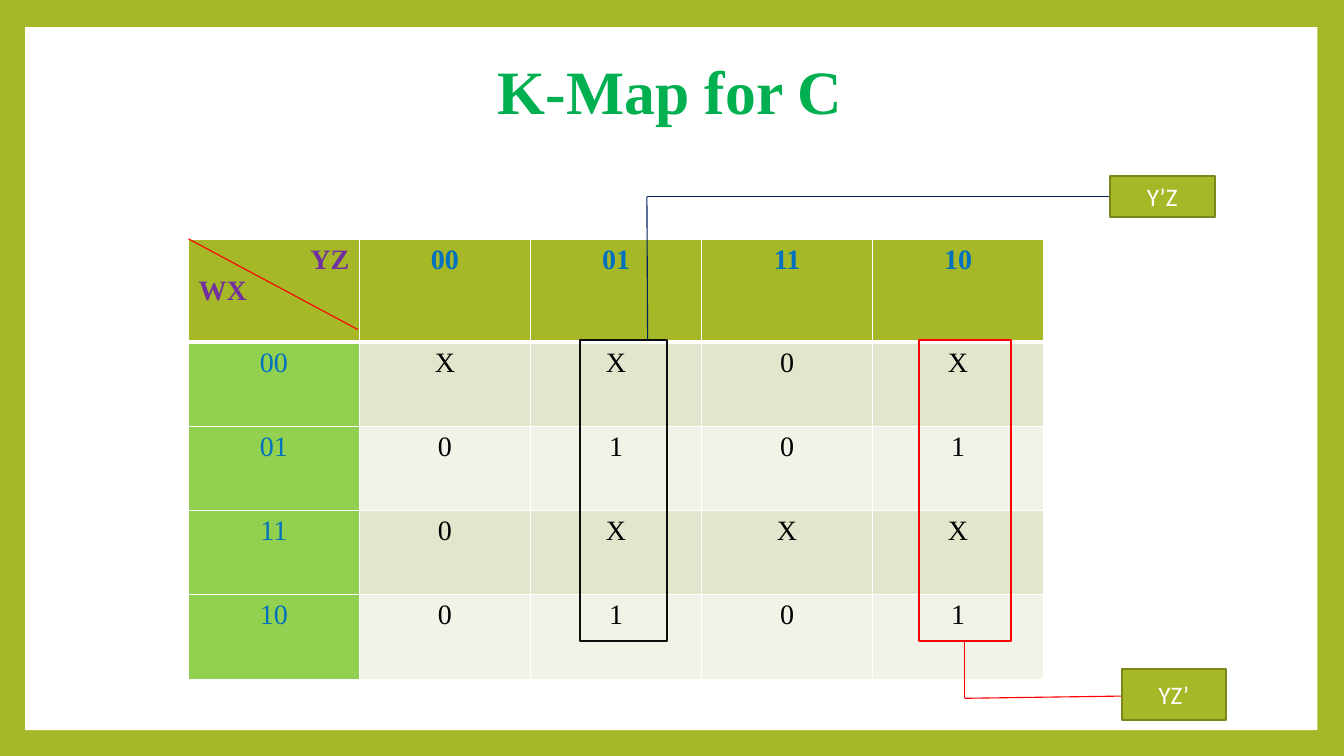
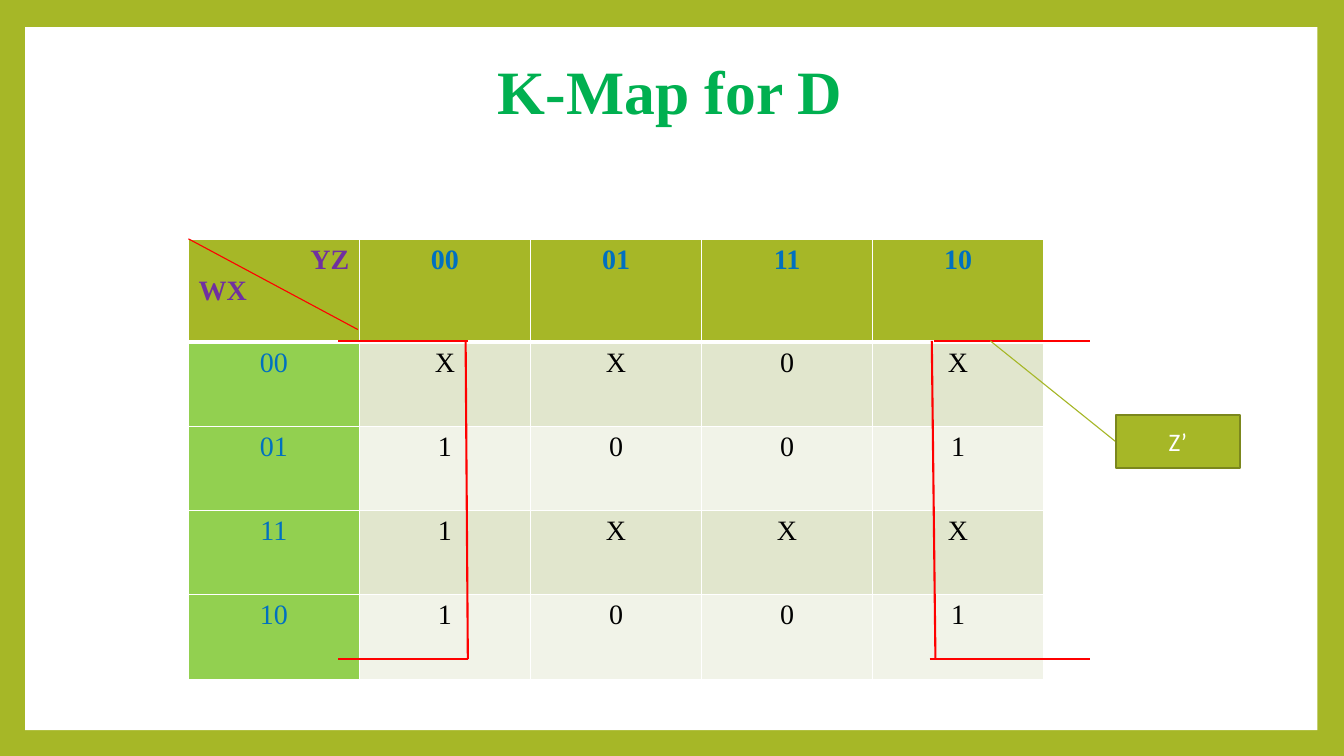
"""Build two Karnaugh map slides with marked groups and their labels."""
from dataclasses import dataclass

from lxml.etree import SubElement
from pptx import Presentation
from pptx.dml.color import RGBColor
from pptx.enum.shapes import MSO_CONNECTOR, MSO_SHAPE
from pptx.enum.text import MSO_ANCHOR, PP_ALIGN
from pptx.oxml import parse_xml
from pptx.oxml.ns import nsdecls, qn
from pptx.util import Pt

GRAY_CODE = ["00", "01", "11", "10"]
SLIDES = [
    {
        "title": "K-Map for C",
        "title_outline": "002060",
        "values": ["XX0X", "0101", "0XXX", "0101"],
        "groups": [
            ((656.6, 242.6, 65.5, 215.3), "red"),
            ((414, 242.6, 62.6, 215.3), "black"),
        ],
        "lines": [
            ((462.1, 140.4), (462.6, 242.6), "navy", "thin"),
            ((462.1, 140.4), (792.7, 140.4), "navy", "thin"),
            ((689, 457.9), (689, 498.8), "red", "thin"),
            ((689, 498.8), (801.4, 497.2), "red", "thin"),
        ],
        "labels": [
            ("Y’Z", (792.7, 125.6, 75, 29.3)),
            ("YZ’", (801.4, 478, 74.2, 36.5)),
        ],
    },
    {
        "title": "K-Map for D",
        "title_outline": None,
        "values": ["XX0X", "1001", "1XXX", "1001"],
        "groups": [],
        "lines": [
            ((332.6, 243.5), (334.2, 470.8), "red", "thick"),
            ((241.6, 470.8), (334.2, 470.8), "red", "thick"),
            ((241.6, 243.5), (334.2, 243.5), "red", "thick"),
            ((665.6, 243.5), (668.2, 470.8), "red", "thick"),
            ((664, 470.8), (778.8, 470.8), "red", "thick"),
            ((666.8, 243.5), (778.8, 243.5), "red", "thick"),
            ((707.4, 243.5), (797, 315.5), "olive", "thin"),
        ],
        "labels": [("Z’", (797, 296.4, 88.8, 38))],
    },
]


@dataclass(frozen=True)
class Theme:
    """Colours, fonts and sizes shared by the slides."""
    olive: str = "A6B727"
    olive_dark: str = "7B871D"
    white: str = "FFFFFF"
    black: str = "0D0D0D"
    red: str = "FF0000"
    navy: str = "002060"
    title: str = "00B050"
    variable: str = "7030A0"
    code: str = "0070C0"
    value: str = "000000"
    code_fill: str = "92D050"
    bands: tuple = ("E1E6CD", "F1F3E8")
    serif: str = "Times New Roman"
    sans: str = "Calibri"
    title_size: float = 44
    cell_size: float = 20
    label_size: float = 18
    thin: float = 0.79
    thick: float = 1.5


THEME = Theme()
SLIDE_SIZE = (960, 540)
PANEL = (18, 19.3, 923, 502.2)
TITLE = (90, 36.7, 777.6, 61.9)
MAP_LEFT, MAP_TOP = 134.6, 170.8
COLUMN_WIDTH, HEADER_HEIGHT, ROW_HEIGHT = 122.2, 73.6, 60.2
DIAGONAL = ((134.6, 170.6), (255.6, 235.4), "red", "thin")


def color(value):
    """Turn a hex string into a colour."""
    return RGBColor.from_string(value)


def in_points(numbers):
    """Turn plain numbers into point lengths."""
    return [Pt(number) for number in numbers]


def write(frame, text, *, size, font, fill, bold=False, align=PP_ALIGN.CENTER,
          first=True, line_spacing=None):
    """Write one formatted paragraph and return its run."""
    para = frame.paragraphs[0] if first else frame.add_paragraph()
    para.alignment = align
    if line_spacing:
        para.line_spacing = line_spacing
    span = para.add_run()
    span.text = text
    span.font.size = Pt(size)
    span.font.name = font
    span.font.bold = bold
    span.font.color.rgb = color(fill)
    return span


def add_box(slide, place, *, fill=None, line=None):
    """Add a rectangle without shadow."""
    box = slide.shapes.add_shape(MSO_SHAPE.RECTANGLE, *in_points(place))
    box.shadow.inherit = False
    if fill:
        box.fill.solid()
        box.fill.fore_color.rgb = color(fill)
    else:
        box.fill.background()
    if line:
        box.line.color.rgb = color(line)
        box.line.width = Pt(THEME.thick)
    else:
        box.line.fill.background()
    return box


def add_line(slide, start, end, tone, weight):
    """Add a straight line without shadow."""
    line = slide.shapes.add_connector(
        MSO_CONNECTOR.STRAIGHT, *in_points(start + end))
    line.line.color.rgb = color(getattr(THEME, tone))
    line.line.width = Pt(getattr(THEME, weight))
    SubElement(line.element.spPr, qn("a:effectLst"))


def outline(tag, tone, width):
    """Return a solid line element."""
    return parse_xml(
        f'<a:{tag} {nsdecls("a")} w="{Pt(width)}"><a:solidFill>'
        f'<a:srgbClr val="{tone}"/></a:solidFill></a:{tag}>')


def style_cell(cell, fill, top, bottom):
    """Fill a cell and give it white borders."""
    cell.fill.solid()
    cell.fill.fore_color.rgb = color(fill)
    properties = cell._tc.get_or_add_tcPr()
    borders = [("lnL", 1), ("lnR", 1), ("lnT", top), ("lnB", bottom)]
    for position, (tag, width) in enumerate(borders):
        properties.insert(position, outline(tag, THEME.white, width))


def add_map(slide, values):
    """Add the map table with its Gray code headings."""
    count = len(GRAY_CODE) + 1
    frame = slide.shapes.add_table(count, count, *in_points((
        MAP_LEFT, MAP_TOP, count * COLUMN_WIDTH,
        HEADER_HEIGHT + len(values) * ROW_HEIGHT)))
    table = frame.table
    for column in table.columns:
        column.width = Pt(COLUMN_WIDTH)
    rows = [["", *GRAY_CODE]]
    rows += [[code, *line] for code, line in zip(GRAY_CODE, values)]
    text_style = {"size": THEME.cell_size, "font": THEME.serif}
    for row, texts in enumerate(rows):
        header = row == 0
        table.rows[row].height = Pt(HEADER_HEIGHT if header else ROW_HEIGHT)
        for column, text in enumerate(texts):
            cell = table.cell(row, column)
            if header:
                fill = THEME.olive
            elif column == 0:
                fill = THEME.code_fill
            else:
                fill = THEME.bands[(row - 1) % 2]
            style_cell(cell, fill, 3 if row == 1 else 1, 3 if header else 1)
            if text:
                tone = THEME.code if header or column == 0 else THEME.value
                write(cell.text_frame, text, fill=tone, bold=header,
                      **text_style)
    corner = table.cell(0, 0).text_frame
    write(corner, "YZ", fill=THEME.variable, bold=True, align=PP_ALIGN.RIGHT,
          **text_style)
    write(corner, "WX", fill=THEME.variable, bold=True, align=PP_ALIGN.LEFT,
          first=False, **text_style)


def set_up_master(deck, layout, slide):
    """Put the background, white panel and title place behind all slides."""
    master = deck.slide_master
    master.background.fill.solid()
    master.background.fill.fore_color.rgb = color(THEME.olive)
    panel = add_box(slide, PANEL, fill=THEME.white)
    master.shapes.element.insert(2, panel.element)
    title = layout.placeholders[0]
    title.left, title.top, title.width, title.height = in_points(TITLE)
    title.text_frame.vertical_anchor = MSO_ANCHOR.MIDDLE


def fill_slide(slide, content):
    """Add the title, map, groups, lines and labels."""
    span = write(slide.shapes.title.text_frame, content["title"],
                 size=THEME.title_size, font=THEME.serif, fill=THEME.title,
                 bold=True, line_spacing=0.9)
    if content["title_outline"]:
        span.font._element.insert(
            0, outline("ln", content["title_outline"], 0.75))
    add_map(slide, content["values"])
    for place, tone in content["groups"]:
        add_box(slide, place, line=getattr(THEME, tone))
    for line in [DIAGONAL, *content["lines"]]:
        add_line(slide, *line)
    for text, place in content["labels"]:
        box = add_box(slide, place, fill=THEME.olive, line=THEME.olive_dark)
        box.text_frame.vertical_anchor = MSO_ANCHOR.MIDDLE
        write(box.text_frame, text, size=THEME.label_size, font=THEME.sans,
              fill=THEME.white)


def main():
    """Build and save the deck."""
    deck = Presentation()
    deck.slide_width, deck.slide_height = in_points(SLIDE_SIZE)
    layout = deck.slide_layouts.get_by_name("Title Only")
    for number, content in enumerate(SLIDES):
        slide = deck.slides.add_slide(layout)
        if number == 0:
            set_up_master(deck, layout, slide)
        fill_slide(slide, content)
    deck.save("out.pptx")


if __name__ == "__main__":
    main()
